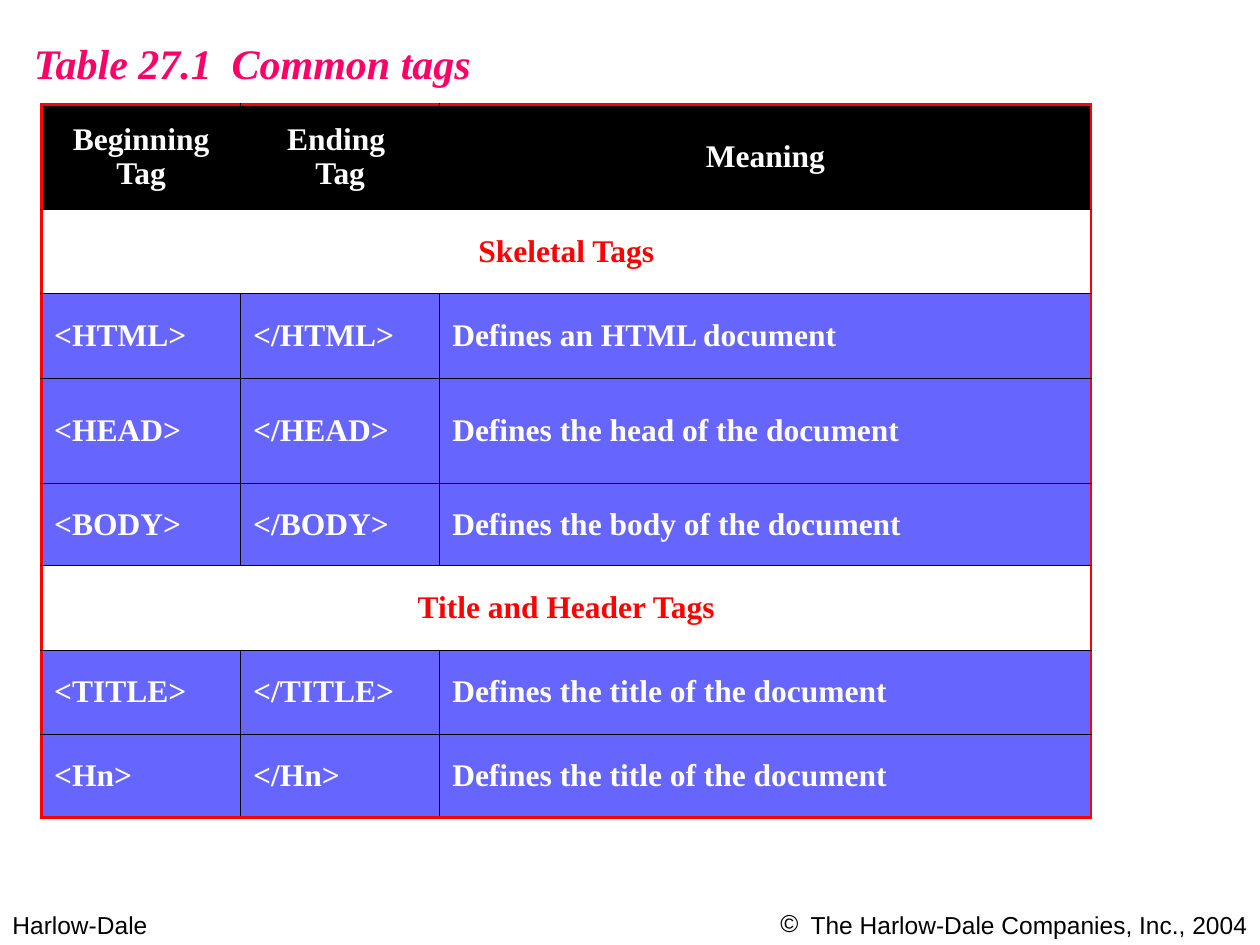
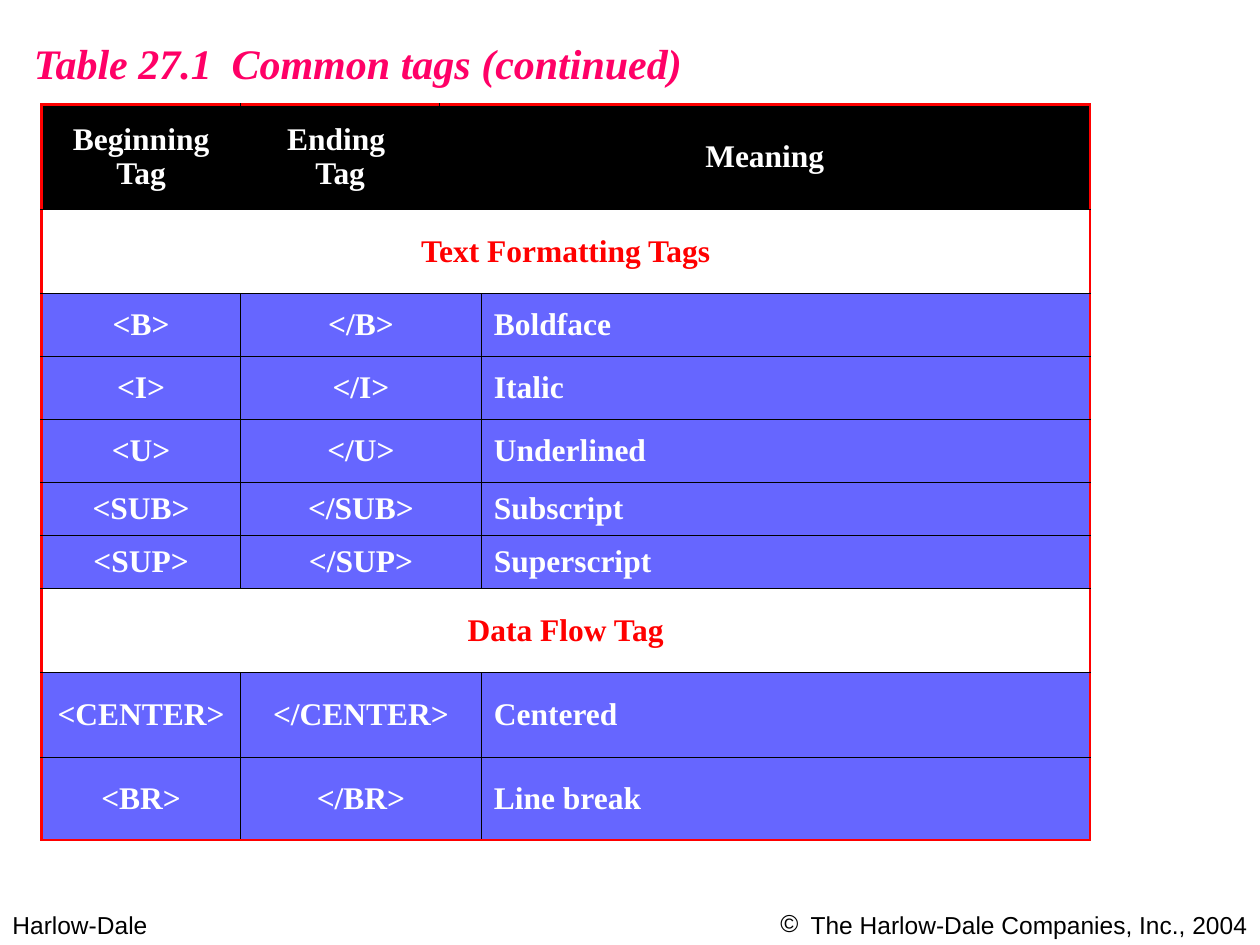
from dataclasses import dataclass

from lxml import etree
from pptx import Presentation
from pptx.dml.color import RGBColor
from pptx.enum.text import MSO_ANCHOR, MSO_AUTO_SIZE, PP_ALIGN
from pptx.oxml.ns import qn
from pptx.util import Inches, Pt

LEFT, MID, RIGHT = PP_ALIGN.LEFT, PP_ALIGN.CENTER, PP_ALIGN.RIGHT
MIDDLE = MSO_ANCHOR.MIDDLE
GROW = MSO_AUTO_SIZE.SHAPE_TO_FIT_TEXT

# Content: a row is (height, cells); a row with one cell is a section band
MAKER = "Harlow-Dale"
RIGHTS = f"The {MAKER} Companies, Inc., 2004"
HEAD = (0.83, ["Beginning\nTag", "Ending \nTag", "Meaning"])

SLIDES = [
    {
        "title": ("Table 27.1", "Common tags"),
        "wide": 3.79,
        "cols": [1.58, 1.58, 5.17],
        "head": [1, 1, 1],
        "body": [1, 1, 1],
        "align": LEFT,
        "rows": [
            (0.67, ["Skeletal Tags"]),
            (0.67, ["<HTML>", "</HTML>", "Defines an HTML document"]),
            (0.84, ["<HEAD>", "</HEAD>", "Defines the head of the document"]),
            (0.65, ["<BODY>", "</BODY>", "Defines the body of the document"]),
            (0.67, ["Title and Header Tags"]),
            (0.67, ["<TITLE>", "</TITLE>", "Defines the title of the document"]),
            (0.66, ["<Hn>", "</Hn>", "Defines the title of the document"]),
        ],
    },
    {
        "title": ("Table 27.1", "Common tags (continued)"),
        "wide": 5.47,
        "cols": [1.58, 1.58, 0.33, 4.83],
        "head": [1, 1, 2],
        "body": [1, 2, 1],
        "align": MID,
        "rows": [
            (0.67, ["Text Formatting Tags"]),
            (0.5, ["<B>", "</B>", "Boldface"]),
            (0.5, ["<I>", "</I>", "Italic"]),
            (0.5, ["<U>", "</U>", "Underlined"]),
            (0.42, ["<SUB>", "</SUB>", "Subscript"]),
            (0.42, ["<SUP>", "</SUP>", "Superscript"]),
            (0.67, ["Data Flow Tag"]),
            (0.67, ["<CENTER>", "</CENTER>", "Centered"]),
            (0.66, ["<BR>", "</BR>", "Line break"]),
        ],
    },
]


@dataclass(frozen=True)
class Theme:
    black: str = "000000"
    white: str = "FFFFFF"
    red: str = "FF0000"
    pink: str = "FF0066"
    blue: str = "6666FF"
    serif: str = "Times New Roman"
    sans: str = "Arial"
    title: int = 24
    cell: int = 18
    foot: int = 14
    thick: float = 1.47
    thin: float = 0.45


T = Theme()


def add_run(para, text, face, size, tint, bold=False, slant=False):
    run = para.add_run()
    run.text = text
    font = run.font
    font.name, font.size = face, Pt(size)
    font.bold, font.italic = bold, slant
    font.color.rgb = RGBColor.from_string(tint)


def add_box(slide, x, y, w, h):
    """Add a growing text box and return its first paragraph."""
    frame = slide.shapes.add_textbox(*map(Inches, (x, y, w, h))).text_frame
    frame.word_wrap = True
    frame.auto_size = GROW
    return frame.paragraphs[0]


def add_title(slide, parts, wide):
    para = add_box(slide, 0.17, 0.25, wide, 0.5)
    stops = etree.SubElement(para._p.get_or_add_pPr(), qn("a:tabLst"))
    etree.SubElement(stops, qn("a:tab"), pos=str(Inches(1.57)), algn="l")
    add_run(para, "\t".join(parts), T.serif, T.title, T.pink, True, True)


def add_foot(slide):
    para = add_box(slide, 0, 7.17, 2.42, 0.34)
    add_run(para, MAKER, T.sans, T.foot, T.black)

    para = add_box(slide, 5, 7.17, 5, 0.34)
    para.alignment = RIGHT
    props = para._p.get_or_add_pPr()
    hang = Inches(0.24)
    props.set("marL", str(hang))
    props.set("indent", str(-hang))
    etree.SubElement(props, qn("a:buFont"), typeface=T.sans)
    etree.SubElement(props, qn("a:buChar"), char="©")
    add_run(para, RIGHTS, T.sans, T.foot, T.black)


def set_edge(cell, side, outer):
    width = Pt(T.thick if outer else T.thin)
    props = cell._tc.get_or_add_tcPr()
    line = etree.SubElement(props, qn(f"a:ln{side}"), w=str(width))
    fill = etree.SubElement(line, qn("a:solidFill"))
    etree.SubElement(fill, qn("a:srgbClr"), val=T.red if outer else T.black)


def add_cell(grid, row, start, span, text, back, tint, align):
    last, end = start + span - 1, len(grid.columns) - 1
    if span > 1:
        grid.cell(row, start).merge(grid.cell(row, last))
    for col in range(start, last + 1):
        cell = grid.cell(row, col)
        if col == start:
            set_edge(cell, "L", start == 0)
        if col in (start, last):
            set_edge(cell, "R", last == end)
        set_edge(cell, "T", row == 0)
        set_edge(cell, "B", row == len(grid.rows) - 1)
        cell.fill.solid()
        cell.fill.fore_color.rgb = RGBColor.from_string(back)

    cell = grid.cell(row, start)
    cell.vertical_anchor = MIDDLE
    para = cell.text_frame.paragraphs[0]
    para.alignment = align
    for i, line in enumerate(text.split("\n")):
        if i:
            para.add_line_break()
        add_run(para, line, T.serif, T.cell, tint, True)


def add_grid(slide, data):
    rows, cols = [HEAD] + data["rows"], data["cols"]
    size = (sum(cols), sum(high for high, _ in rows))
    frame = slide.shapes.add_table(
        len(rows), len(cols), *map(Inches, (0.33, 0.83, *size)))
    grid = frame.table
    grid.first_row = grid.horz_banding = False
    for col, wide in zip(grid.columns, cols):
        col.width = Inches(wide)

    for r, (high, texts) in enumerate(rows):
        grid.rows[r].height = Inches(high)
        # Header, section band or tag row
        if r == 0:
            spans, back, tint, aligns = data["head"], T.black, T.white, [MID] * 3
        elif len(texts) == 1:
            spans, back, tint, aligns = [len(cols)], T.white, T.red, [MID]
        else:
            spans, back, tint = data["body"], T.blue, T.white
            aligns = [data["align"]] * 2 + [LEFT]
        start = 0
        for text, span, align in zip(texts, spans, aligns):
            add_cell(grid, r, start, span, text, back, tint, align)
            start += span


def main():
    deck = Presentation()
    deck.slide_width, deck.slide_height = Inches(10), Inches(7.5)
    blank = deck.slide_layouts[6]
    for data in SLIDES:
        slide = deck.slides.add_slide(blank)
        add_foot(slide)
        add_title(slide, data["title"], data["wide"])
        add_grid(slide, data)
    deck.save("out.pptx")


if __name__ == "__main__":
    main()
